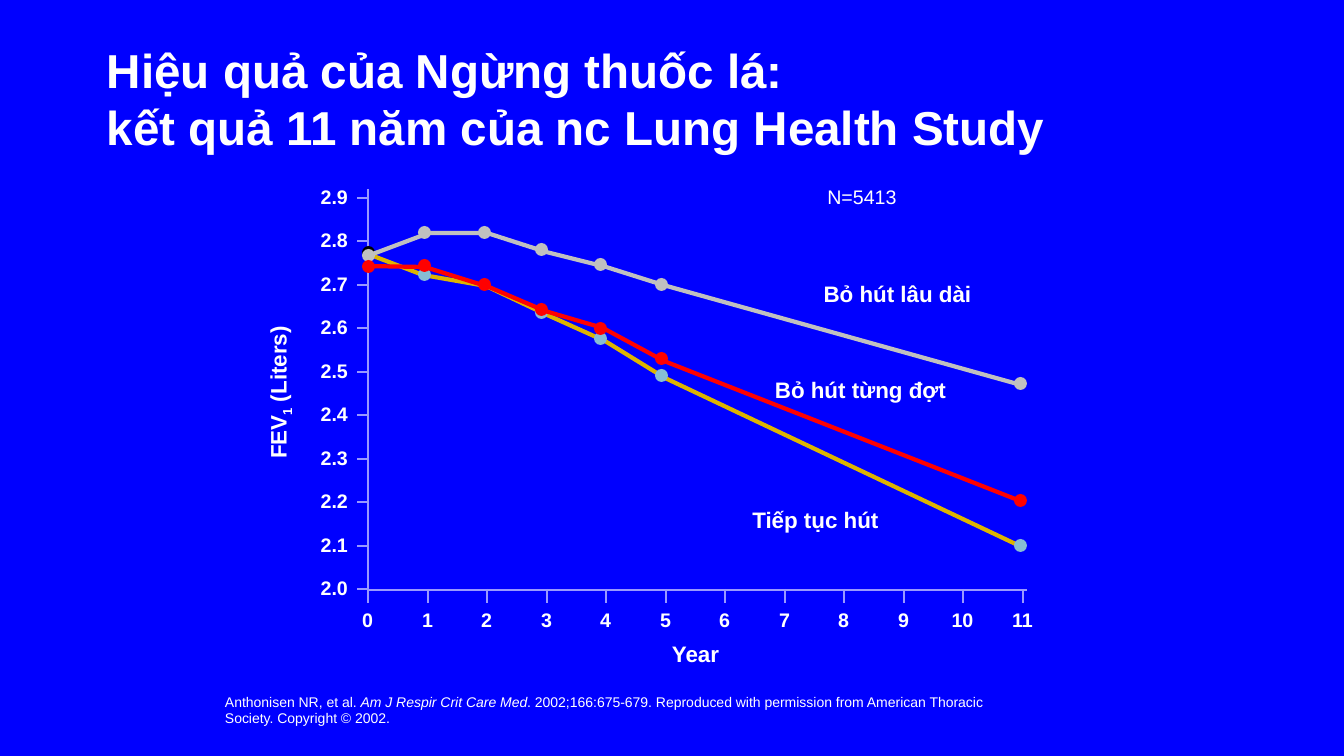
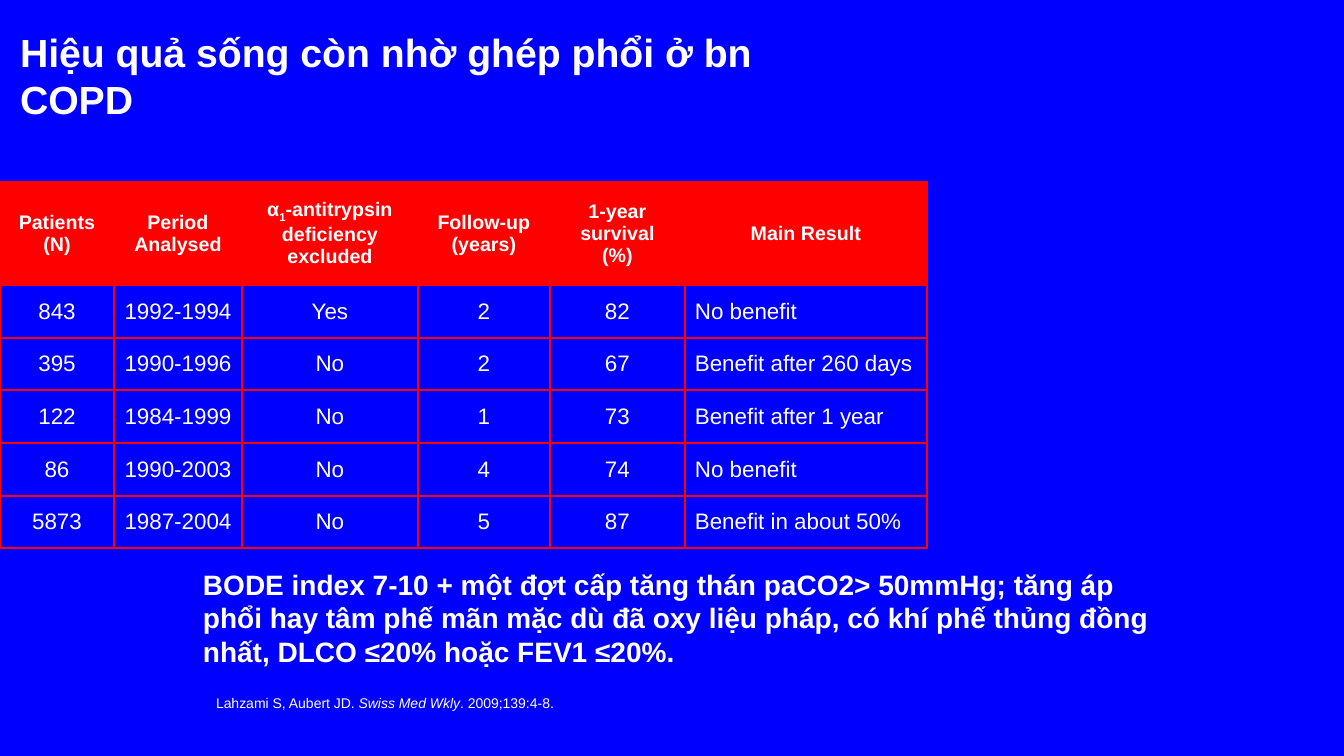
from dataclasses import dataclass
from typing import NamedTuple

from pptx import Presentation
from pptx.dml.color import RGBColor
from pptx.enum.shapes import MSO_CONNECTOR, MSO_SHAPE
from pptx.enum.text import MSO_ANCHOR, MSO_AUTO_SIZE, PP_ALIGN
from pptx.oxml import parse_xml
from pptx.oxml.ns import nsdecls
from pptx.util import Emu, Pt

LEFT, CENTER, RIGHT = PP_ALIGN.LEFT, PP_ALIGN.CENTER, PP_ALIGN.RIGHT
TOP, MIDDLE, BOTTOM = MSO_ANCHOR.TOP, MSO_ANCHOR.MIDDLE, MSO_ANCHOR.BOTTOM
NO_FIT = MSO_AUTO_SIZE.NONE
STRAIGHT = MSO_CONNECTOR.STRAIGHT
OVAL = MSO_SHAPE.OVAL
TITLE_ONLY = 5
EMU_PER_PX = 914400 / 100.8


# Theme
@dataclass(frozen=True)
class Theme:
    font: str = "Arial"
    back: str = "0000FF"
    text: str = "FFFFFF"
    axis: str = "9999FF"
    red: str = "FF0000"
    silver: str = "C0C0C0"
    gold: str = "DDB400"
    sky: str = "87BDD4"
    black: str = "000000"
    title: int = 34
    title_small: int = 28
    body: int = 20
    label: int = 16
    tick: int = 14
    source: int = 10
    axis_line: float = 1.5
    series_line: int = 3


THEME = Theme()


class Box(NamedTuple):
    left: int
    top: int
    width: int
    height: int


class Run(NamedTuple):
    text: str
    italic: bool = False
    subscript: bool = False


class Label(NamedTuple):
    runs: list[Run]
    box: Box
    size: int = THEME.label
    bold: bool = True
    align: PP_ALIGN = CENTER
    rotation: int = 0


class Marker(NamedTuple):
    year: int
    top: int
    color: str


class Series(NamedTuple):
    color: str
    line: list[tuple[int, int]]
    markers: list[Marker]


# Graph: axes, tick steps and series
ORIGIN_X, ORIGIN_Y = 368, 589
AXIS_TOP, AXIS_RIGHT = 189, 1027
YEAR_COUNT, YEAR_STEP = 12, 59.54
VOLUME_COUNT, VOLUME_STEP = 10, 43.44
MARKER_SIZE = 13
MARKER_LEFT = {0: 362, 1: 418, 2: 478, 3: 535, 4: 594, 5: 655, 11: 1014}


def markers(color: str, tops: dict[int, int]) -> list[Marker]:
    return [Marker(year, top, color) for year, top in tops.items()]


SERIES = [
    Series(THEME.gold, [(368, 254), (423, 275), (486, 286), (545, 314), (605, 341),
                        (665, 378), (1022, 547)],
           [Marker(0, 246, THEME.black)]
           + markers(THEME.sky, {1: 268, 3: 306, 4: 332, 5: 369, 11: 539})),
    Series(THEME.silver, [(365, 257), (429, 233), (487, 233), (546, 252), (606, 267),
                          (663, 285), (1021, 385)],
           markers(THEME.silver,
                   {0: 249, 1: 226, 2: 226, 3: 243, 4: 258, 5: 278, 11: 377})),
    Series(THEME.red, [(365, 266), (425, 267), (489, 287), (545, 311), (603, 328),
                       (664, 361), (1023, 502)],
           markers(THEME.red,
                   {0: 260, 1: 259, 2: 278, 3: 303, 4: 322, 5: 352, 11: 494})),
]
LABELS = [
    Label([Run("Bỏ hút lâu dài")], Box(823, 280, 149, 27)),
    Label([Run("Bỏ hút từng đợt")], Box(775, 376, 171, 27)),
    Label([Run("Tiếp tục hút")], Box(752, 506, 127, 27)),
    Label([Run("N=5413")], Box(817, 180, 90, 34), THEME.tick, False),
    Label([Run("Year")], Box(671, 640, 49, 27)),
    Label([Run("FEV"), Run("1", subscript=True), Run(" (Liters)")],
          Box(212, 379, 135, 27), rotation=270),
]

# Table content
COLUMNS = [114, 128, 176, 132, 135, 242]
ROWS = [103, 53, 52, 53, 53, 52]
HEADER = [
    [[Run("Patients (N)")]],
    [[Run("Period Analysed")]],
    [[Run("α"), Run("1", subscript=True), Run("-antitrypsin deficiency excluded")]],
    [[Run("Follow-up (years)")]],
    [[Run("1-year survival")], [Run("(%)")]],
    [[Run("Main Result")]],
]
STUDIES = [
    ("843", "1992-1994", "Yes", "2", "82", "No benefit"),
    ("395", "1990-1996", "No", "2", "67", "Benefit after 260 days"),
    ("122", "1984-1999", "No", "1", "73", "Benefit after 1 year"),
    ("86", "1990-2003", "No", "4", "74", "No benefit"),
    ("5873", "1987-2004", "No", "5", "87", "Benefit in about 50%"),
]


# Text helpers
def px(n: int) -> Emu:
    return Emu(round(n * EMU_PER_PX))


def rgb(color: str) -> RGBColor:
    return RGBColor.from_string(color)


def format_font(font, size: int, bold: bool, italic: bool) -> None:
    values = {"name": THEME.font, "size": Pt(size), "bold": bold, "italic": italic}
    for name, value in values.items():
        setattr(font, name, value)
    font.color.rgb = rgb(THEME.text)


def write(p, runs: list[Run], size: int, bold: bool = False, align=LEFT) -> None:
    p.alignment = align
    for run in runs:
        for i, line in enumerate(run.text.split("\n")):
            if i:
                p.add_line_break()
            r = p.add_run()
            r.text = line
            format_font(r.font, size, bold, run.italic)
            if run.subscript:
                r._r.get_or_add_rPr().set("baseline", "-25000")


def set_frame(tf, inset: tuple[int, int], anchor, wrap: bool = True) -> None:
    x, y = map(px, inset)
    values = {"margin_left": x, "margin_right": x, "margin_top": y, "margin_bottom": y,
              "vertical_anchor": anchor, "word_wrap": wrap, "auto_size": NO_FIT}
    for name, value in values.items():
        setattr(tf, name, value)


def add_text(s, box: Box, runs: list[Run], size: int, bold: bool = False) -> None:
    tf = s.shapes.add_textbox(*map(px, box)).text_frame
    set_frame(tf, (10, 5), TOP)
    write(tf.paragraphs[0], runs, size, bold)


def add_label(s, label: Label) -> None:
    sp = s.shapes.add_textbox(*map(px, label.box))
    sp.rotation = label.rotation
    set_frame(sp.text_frame, (0, 0), MIDDLE, wrap=False)
    write(sp.text_frame.paragraphs[0], label.runs, label.size, label.bold, label.align)


def add_slide(prs, title: str, box: Box, size: int, inset: tuple[int, int], anchor):
    s = prs.slides.add_slide(prs.slide_layouts[TITLE_ONLY])
    sp = s.shapes.title
    sp.left, sp.top, sp.width, sp.height = map(px, box)
    set_frame(sp.text_frame, inset, anchor)
    write(sp.text_frame.paragraphs[0], [Run(title)], size, True)
    return s


# Graph
def add_line(s, x1: int, y1: int, x2: int, y2: int) -> None:
    line = s.shapes.add_connector(STRAIGHT, *map(px, (x1, y1, x2, y2)))
    line.line.color.rgb = rgb(THEME.axis)
    line.line.width = Pt(THEME.axis_line)
    line._element.spPr.append(parse_xml(f"<a:effectLst {nsdecls('a')}/>"))


def add_axes(s) -> None:
    add_line(s, ORIGIN_X - 1, ORIGIN_Y + 1, AXIS_RIGHT, ORIGIN_Y + 1)
    add_line(s, ORIGIN_X, AXIS_TOP, ORIGIN_X, ORIGIN_Y + 2)
    for i in range(VOLUME_COUNT):
        y = round(ORIGIN_Y - i * VOLUME_STEP)
        add_line(s, ORIGIN_X, y, ORIGIN_X - 11, y)
        add_label(s, Label([Run(f"{2 + i / 10:.1f}")], Box(321, y - 13, 27, 23),
                           THEME.tick, align=RIGHT))
    for year in range(YEAR_COUNT):
        x = round(ORIGIN_X + year * YEAR_STEP)
        add_line(s, x, ORIGIN_Y, x, ORIGIN_Y + 14)
        add_label(s, Label([Run(str(year))], Box(x - 12, 608, 23, 23), THEME.tick))


def add_series(s, series: Series) -> None:
    builder = s.shapes.build_freeform(*series.line[0], scale=EMU_PER_PX)
    builder.add_line_segments(series.line[1:], close=False)
    sp = builder.convert_to_shape()
    sp.shadow.inherit = False
    sp.fill.background()
    sp.line.color.rgb = rgb(series.color)
    sp.line.width = Pt(THEME.series_line)
    for marker in series.markers:
        box = Box(MARKER_LEFT[marker.year], marker.top, MARKER_SIZE, MARKER_SIZE)
        sp = s.shapes.add_shape(OVAL, *map(px, box))
        sp.shadow.inherit = False
        sp.fill.solid()
        sp.fill.fore_color.rgb = rgb(marker.color)
        sp.line.fill.background()


# Table
def add_borders(cell) -> None:
    tc_pr = cell._tc.get_or_add_tcPr()
    for side in ("lnL", "lnR", "lnT", "lnB"):
        tc_pr.append(parse_xml(
            f'<a:{side} {nsdecls("a")} w="{Pt(THEME.axis_line)}"><a:solidFill>'
            f'<a:srgbClr val="{THEME.red}"/></a:solidFill></a:{side}>'))


def fill_cell(cell, paragraphs: list[list[Run]], header: bool, align) -> None:
    add_borders(cell)
    cell.vertical_anchor = MIDDLE
    if header:
        cell.fill.solid()
        cell.fill.fore_color.rgb = rgb(THEME.red)
    else:
        cell.fill.background()
    tf = cell.text_frame
    for i, runs in enumerate(paragraphs):
        p = tf.add_paragraph() if i else tf.paragraphs[0]
        write(p, runs, THEME.tick if header else THEME.label, header, align)


def add_study_table(s) -> None:
    box = Box(0, 182, sum(COLUMNS), sum(ROWS))
    table = s.shapes.add_table(len(ROWS), len(COLUMNS), *map(px, box)).table
    table.horz_banding = False
    for column, width in zip(table.columns, COLUMNS):
        column.width = px(width)
    content = [HEADER] + [[[[Run(text)]] for text in study] for study in STUDIES]
    for r, (row, height) in enumerate(zip(content, ROWS)):
        table.rows[r].height = px(height)
        for c, paragraphs in enumerate(row):
            align = LEFT if r and c == len(COLUMNS) - 1 else CENTER
            fill_cell(table.cell(r, c), paragraphs, r == 0, align)


# Slides
def main() -> None:
    prs = Presentation()
    prs.slide_width, prs.slide_height = px(1344), px(756)
    back = prs.slide_master.background.fill
    back.solid()
    back.fore_color.rgb = rgb(THEME.back)

    s = add_slide(prs, "Hiệu quả của Ngừng thuốc lá:\nkết quả 11 năm của nc Lung Health Study",
                  Box(98, 33, 1246, 126), THEME.title, (9, 4), BOTTOM)
    add_axes(s)
    for series in SERIES:
        add_series(s, series)
    for label in LABELS:
        add_label(s, label)
    add_text(s, Box(215, 688, 784, 44), [
        Run("Anthonisen NR, et al. "), Run("Am J Respir Crit Care Med", italic=True),
        Run(". 2002;166:675-679. Reproduced with permission from American Thoracic "
            "Society. Copyright © 2002.")], THEME.source)

    s = add_slide(prs, "Hiệu quả sống còn nhờ ghép phổi ở bn COPD",
                  Box(0, 18, 890, 115), THEME.title_small, (20, 10), TOP)
    add_study_table(s)
    add_text(s, Box(193, 562, 968, 111), [
        Run("BODE index 7-10 + một đợt cấp tăng thán paCO2> 50mmHg; tăng áp phổi hay "
            "tâm phế mãn mặc dù đã oxy liệu pháp, có khí phế thủng đồng nhất, "
            "DLCO ≤20% hoặc FEV1 ≤20%.")], THEME.body, True)
    add_text(s, Box(206, 690, 668, 27), [
        Run("Lahzami S, Aubert JD. "), Run("Swiss Med Wkly", italic=True),
        Run(". 2009;139:4-8.")], THEME.source)

    prs.save("out.pptx")


if __name__ == "__main__":
    main()
